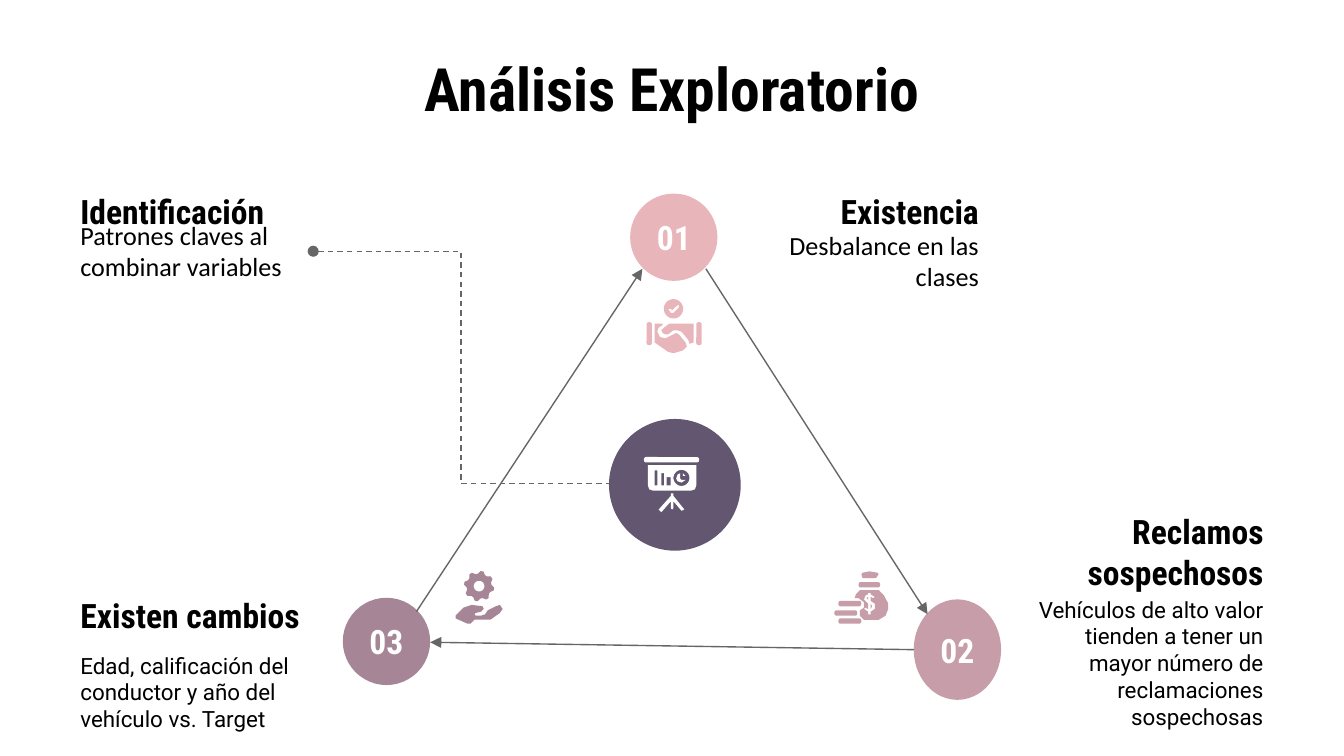
import math
from dataclasses import dataclass

import pptx
import pptx.dml.color
import pptx.enum.dml
import pptx.enum.shapes
import pptx.enum.text
import pptx.oxml.ns
import pptx.util
from lxml import etree
from pptx.util import Cm

SHAPE = pptx.enum.shapes.MSO_SHAPE
CONNECTOR = pptx.enum.shapes.MSO_CONNECTOR
ALIGN = pptx.enum.text.PP_ALIGN


@dataclass(frozen=True)
class Theme:
    ink: str = "000000"
    white: str = "FFFFFF"
    line: str = "666666"
    blush: str = "E8B5BB"
    rose: str = "C79DA9"
    mauve: str = "A68596"
    plum: str = "635671"
    heading_font: str = "Roboto Condensed"
    body_font: str = "Roboto"
    note_font: str = "Calibri"
    title_size: int = 32
    heading_size: int = 18
    note_size: int = 14
    body_size: int = 12
    line_width: float = 0.75
    icon_unit: float = 0.0254


THEME = Theme()


def rgb(color):
    return pptx.dml.color.RGBColor.from_string(color)


def paint(shape, color):
    shape.shadow.inherit = False
    shape.fill.solid()
    shape.fill.fore_color.rgb = rgb(color)
    shape.line.fill.background()


def write(shape, words, font, size, color=THEME.ink, bold=False, align=ALIGN.LEFT):
    frame = shape.text_frame
    frame.word_wrap = True
    frame.vertical_anchor = pptx.enum.text.MSO_ANCHOR.MIDDLE
    frame.margin_left = frame.margin_right = Cm(0.25)
    frame.margin_top = frame.margin_bottom = Cm(0.25)
    paragraph = frame.paragraphs[0]
    paragraph.alignment = align
    run = paragraph.add_run()
    run.text = words
    run.font.name = font
    run.font.size = pptx.util.Pt(size)
    run.font.bold = bold
    run.font.color.rgb = rgb(color)


def add_text(slide, box, words, font, size, **style):
    write(slide.shapes.add_textbox(*map(Cm, box)), words, font, size, **style)


def add_topic(slide, heading, heading_box, body, body_box, font, size, align):
    add_text(slide, heading_box, heading, THEME.heading_font, THEME.heading_size,
             bold=True, align=align)
    add_text(slide, body_box, body, font, size, align=align)


def add_disc(slide, box, color, number=None):
    disc = slide.shapes.add_shape(SHAPE.OVAL, *map(Cm, box))
    paint(disc, color)
    if number:
        write(disc, number, THEME.heading_font, THEME.heading_size,
              color=THEME.white, bold=True, align=ALIGN.CENTER)


def add_link(slide, start, end, kind=CONNECTOR.STRAIGHT, head=None, tail=None, dashed=False):
    link = slide.shapes.add_connector(kind, *map(Cm, start + end))
    link.line.color.rgb = rgb(THEME.line)
    link.line.width = pptx.util.Pt(THEME.line_width)
    if dashed:
        link.line.dash_style = pptx.enum.dml.MSO_LINE.DASH
    stroke = link.line._get_or_add_ln()
    for tag, mark in (("a:headEnd", head), ("a:tailEnd", tail)):
        if mark:
            etree.SubElement(stroke, pptx.oxml.ns.qn(tag), type=mark)
    etree.SubElement(link._element.spPr, pptx.oxml.ns.qn("a:effectLst"))


def ring(center_x, center_y, radii, steps=24):
    turns = [2 * math.pi * (step + 0.5) / steps for step in range(steps)]
    return [(center_x + radii[step % len(radii)] * math.cos(turn),
             center_y + radii[step % len(radii)] * math.sin(turn))
            for step, turn in enumerate(turns)]


def block(x, y, width, height):
    return [(x, y), (x + width, y), (x + width, y + height), (x, y + height)]


def add_icon(slide, corner, color, bars, outlines):
    icon = slide.shapes.add_group_shape()

    def place(point):
        return tuple(Cm(edge + step * THEME.icon_unit) for edge, step in zip(corner, point))

    for x, y, width, height in bars:
        bar = icon.shapes.add_shape(
            SHAPE.ROUNDED_RECTANGLE, *place((x, y)),
            Cm(width * THEME.icon_unit), Cm(height * THEME.icon_unit))
        bar.adjustments[0] = 0.4
        paint(bar, color)
    for contours in outlines:
        first, *holes = [[place(point) for point in contour] for contour in contours]
        builder = icon.shapes.build_freeform(*first[0], scale=1.0)
        builder.add_line_segments(first[1:])
        for hole in holes:
            builder.move_to(*hole[0])
            builder.add_line_segments(hole[1:])
        paint(builder.convert_to_shape(), color)


def add_board_icon(slide):
    tripod = [(20, 27), (20, 29), (11, 39), (13, 41), (20, 33), (20, 38), (21, 39),
              (22, 38), (22, 33), (28, 40), (30, 39), (22, 29), (22, 27)]
    slice_out = [(29, 12), (29, 14), (31, 14)]
    pie = [(27, 12), (25, 13), (24, 16), (25, 18), (28, 19), (31, 17), (28, 17), (27, 16)]
    board = [(3, 6), (3, 21), (4, 24), (7, 25), (35, 25), (38, 24), (39, 21), (39, 6)]
    columns = [block(8, 10, 2, 11), block(13, 12, 2, 9), block(17, 15, 3, 6)]
    add_icon(slide, (12.17, 8.64), THEME.white, [(0, 0, 41, 4)],
             [[tripod], [slice_out], [pie], [board, *columns, ring(28, 15.5, [6])]])


def add_handshake_icon(slide):
    check = [(24, 4), (24, 6), (20, 10), (18, 10), (16, 7), (18, 7), (19, 8), (22, 5)]
    left_hand = [(6, 18), (6, 32), (16, 39), (20, 40), (27, 38), (30, 35), (29, 32), (24, 26),
                 (22, 25), (16, 28), (14, 29), (10, 28), (8, 24), (9, 21), (12, 19), (12, 18)]
    right_hand = [(35, 18), (17, 18), (13, 21), (11, 23), (12, 25), (14, 26), (16, 26),
                  (20, 23), (23, 23), (26, 24), (31, 30), (32, 33), (35, 32)]
    add_icon(slide, (12.22, 5.66), THEME.blush, [(0, 17, 4, 17), (37, 17, 4, 17)],
             [[ring(20, 7, [7.2]), check], [left_hand], [right_hand]])


def add_money_icon(slide):
    bag = [(19, 14), (33, 14), (37, 18), (40, 24), (40, 28), (38, 33), (33, 36), (22, 36),
           (19, 33), (19, 29), (22, 27), (22, 23), (18, 20), (15, 20), (16, 17)]
    dollar = [(25, 16), (27, 16), (27, 17), (30, 19), (29, 20), (27, 19), (27, 22), (30, 24),
              (30, 28), (27, 30), (27, 32), (25, 32), (25, 30), (22, 28), (23, 27), (25, 28),
              (25, 24), (22, 21), (23, 18), (25, 17)]
    knot = [(26, 0), (21, 1), (20, 2), (21, 5), (31, 5), (33, 2), (32, 1)]
    dollar_gaps = [[(25, 19), (24, 20), (25, 21)], [(27, 24), (27, 28), (28, 26)]]
    add_icon(slide, (15.77, 10.8), THEME.rose,
             [(18, 8, 16, 4), (3, 35, 17, 4), (0, 29, 17, 4), (3, 22, 17, 4)],
             [[bag, dollar], [knot], *[[gap] for gap in dollar_gaps]])


def add_service_icon(slide):
    hand = [(12, 25), (6, 27), (0, 33), (0, 35), (9, 39), (11, 39), (14, 36), (23, 36),
            (26, 36), (33, 31), (35, 28), (33, 25), (30, 26), (24, 29), (22, 32), (19, 33),
            (15, 33), (14, 32), (15, 31), (19, 30), (21, 28), (20, 26)]
    gear = ring(17.5, 11, [11.3, 11.3, 9.3, 9.3], 32)
    add_icon(slide, (8.61, 10.8), THEME.mauve, [], [[hand], [gear, ring(17.5, 11, [4])]])


def main():
    deck = pptx.Presentation()
    deck.slide_width, deck.slide_height = Cm(25.4), Cm(14.29)
    slide = deck.slides.add_slide(deck.slide_layouts[6])

    add_text(slide, (1.27, 1.14, 22.86, 1.04), "Análisis Exploratorio", THEME.heading_font,
             THEME.title_size, bold=True, align=ALIGN.CENTER)

    body = (THEME.body_font, THEME.body_size)
    note = (THEME.note_font, THEME.note_size)
    add_topic(slide, "Reclamos sospechosos", (19.15, 9.98, 4.98, 0.89),
              "Vehículos de alto valor tienden a tener un mayor número de reclamaciones sospechosas",
              (19.15, 11.63, 4.98, 1.8), *body, ALIGN.RIGHT)
    add_topic(slide, "Existen cambios", (1.27, 11.25, 4.98, 0.76),
              "Edad, calificación del conductor y año del vehículo vs. Target",
              (1.27, 12.04, 4.98, 2.08), *body, ALIGN.LEFT)
    add_topic(slide, "Existencia", (13.77, 3.61, 4.98, 0.76),
              "Desbalance en las clases", (13.77, 4.37, 4.98, 1.12), *note, ALIGN.RIGHT)
    add_topic(slide, "Identificación", (1.27, 3.61, 5.64, 0.76),
              "Patrones claves al combinar variables", (1.27, 4.32, 5.64, 0.84),
              *note, ALIGN.LEFT)

    add_disc(slide, (11.91, 3.66, 1.65, 1.65), THEME.blush, "01")
    add_disc(slide, (17.27, 11.33, 1.65, 1.9), THEME.rose, "02")
    add_disc(slide, (6.48, 11.3, 1.65, 1.65), THEME.mauve, "03")
    for start, end in (((7.87, 11.56), (12.14, 5.08)),
                       ((13.34, 5.08), (17.53, 11.61)),
                       ((17.27, 12.28), (8.13, 12.14))):
        add_link(slide, start, end, tail="triangle")
    add_disc(slide, (11.51, 7.92, 2.49, 2.49), THEME.plum)
    add_link(slide, (5.92, 4.75), (11.51, 9.14), CONNECTOR.ELBOW, head="oval", dashed=True)

    add_board_icon(slide)
    add_handshake_icon(slide)
    add_money_icon(slide)
    add_service_icon(slide)
    deck.save("out.pptx")


if __name__ == "__main__":
    main()
